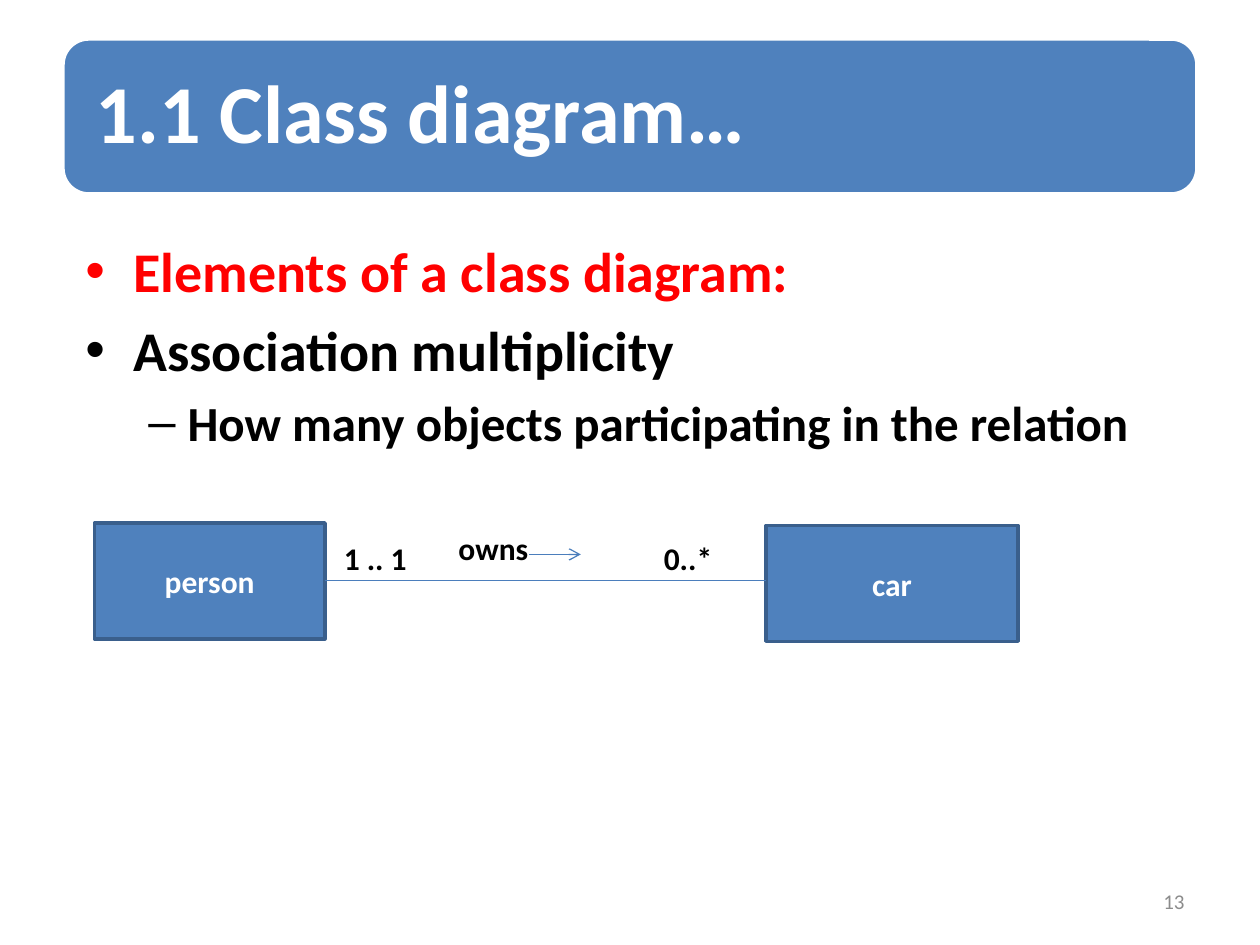
from lxml import etree
from pptx import Presentation
from pptx.dml.color import RGBColor
from pptx.enum import shapes, text
from pptx.oxml.ns import qn
from pptx.util import Inches, Pt

COLORS = {"blue": "4F81BD", "edge": "3A5F8C", "link": "4B7EBC", "white": "FFFFFF",
          "black": "000000", "red": "FF0000", "gray": "8C8C8C"}
TITLE = "1.1 Class diagram…"
# text, size, color, bullet, left margin, hanging indent, level
BULLETS = [
    ("Elements of a class diagram:", 32, "red", "•", 0.38, 0.38, 0),
    ("Association multiplicity", 32, "black", "•", 0.38, 0.38, 0),
    ("How many objects participating in the relation", 28, "black", "–", 0.81, 0.31, 1),
]
CLASSES = [("person", (0.75, 4.15, 1.83, 0.92)), ("car", (6.08, 4.17, 2, 0.92))]
LABELS = [("owns", (3.54, 4.15, 0.92, 0.4)), ("1 .. 1", (2.63, 4.23, 0.88, 0.4)),
          ("0..*", (5.17, 4.23, 0.67, 0.4))]
# x start, x end, y, arrowhead
LINES = [(2.58, 6.08, 4.61, False), (4.2, 4.61, 4.4, True)]
PAGE = "13"


def rgb(name):
    return RGBColor.from_string(COLORS[name])


def add_run(p, words, size, color, bold=True):
    r = p.add_run()
    r.text = words
    r.font.name, r.font.size, r.font.bold = "Calibri", Pt(size), bold
    r.font.color.rgb = rgb(color)


def add_box(s, kind, at, edge):
    sp = s.shapes.add_shape(kind, *map(Inches, at))
    sp.shadow.inherit = False
    sp.fill.solid()
    sp.fill.fore_color.rgb = rgb("blue")
    sp.line.color.rgb = rgb(edge)
    sp.line.width = Pt(2)
    return sp


def add_text(s, at, wrap=True, anchor=text.MSO_ANCHOR.TOP):
    tf = s.shapes.add_textbox(*map(Inches, at)).text_frame
    tf.word_wrap = wrap
    tf.vertical_anchor = anchor
    return tf


def add_line(s, x1, x2, y, arrow):
    c = s.shapes.add_connector(shapes.MSO_CONNECTOR.STRAIGHT,
                               *map(Inches, (x1, y, x2, y)))
    c.line.color.rgb = rgb("link")
    c.line.width = Pt(0.75)
    if arrow:
        etree.SubElement(c.line._get_or_add_ln(), qn("a:tailEnd"), type="arrow")
    etree.SubElement(c._element.spPr, qn("a:effectLst"))


def add_bullets(tf):
    for i, (words, size, color, mark, margin, hang, level) in enumerate(BULLETS):
        p = tf.paragraphs[0] if i == 0 else tf.add_paragraph()
        p.level = level
        if i:
            p.space_before = Pt(size * 0.2)
        pPr = p._p.get_or_add_pPr()
        pPr.set("marL", str(Inches(margin)))
        pPr.set("indent", str(-Inches(hang)))
        etree.SubElement(pPr, qn("a:buFont"), typeface="Arial")
        etree.SubElement(pPr, qn("a:buChar"), char=mark)
        add_run(p, words, size, color)


def main():
    prs = Presentation()
    prs.slide_width, prs.slide_height = Inches(10), Inches(7.5)
    s = prs.slides.add_slide(prs.slide_layouts[6])

    add_box(s, shapes.MSO_SHAPE.ROUNDED_RECTANGLE, (0.5, 0.31, 9, 1.23), "white")
    tf = add_text(s, (0.56, 0.37, 8.88, 1.11), anchor=text.MSO_ANCHOR.MIDDLE)
    tf.margin_left = tf.margin_right = tf.margin_top = tf.margin_bottom = Inches(0.2)
    tf.paragraphs[0].line_spacing = 0.9
    add_run(tf.paragraphs[0], TITLE, 47, "white")

    add_bullets(add_text(s, (0.58, 1.83, 8.92, 5.25)))

    for name, at in CLASSES:
        tf = add_box(s, shapes.MSO_SHAPE.RECTANGLE, at, "edge").text_frame
        tf.vertical_anchor = text.MSO_ANCHOR.MIDDLE
        tf.paragraphs[0].alignment = text.PP_ALIGN.CENTER
        add_run(tf.paragraphs[0], name, 18, "white")
    for line in LINES:
        add_line(s, *line)
    for label, at in LABELS:
        add_run(add_text(s, at).paragraphs[0], label, 18, "black")

    tf = add_text(s, (7.17, 6.95, 2.33, 0.4), anchor=text.MSO_ANCHOR.MIDDLE)
    tf.paragraphs[0].alignment = text.PP_ALIGN.RIGHT
    add_run(tf.paragraphs[0], PAGE, 12, "gray", bold=False)
    prs.save("out.pptx")


if __name__ == "__main__":
    main()
